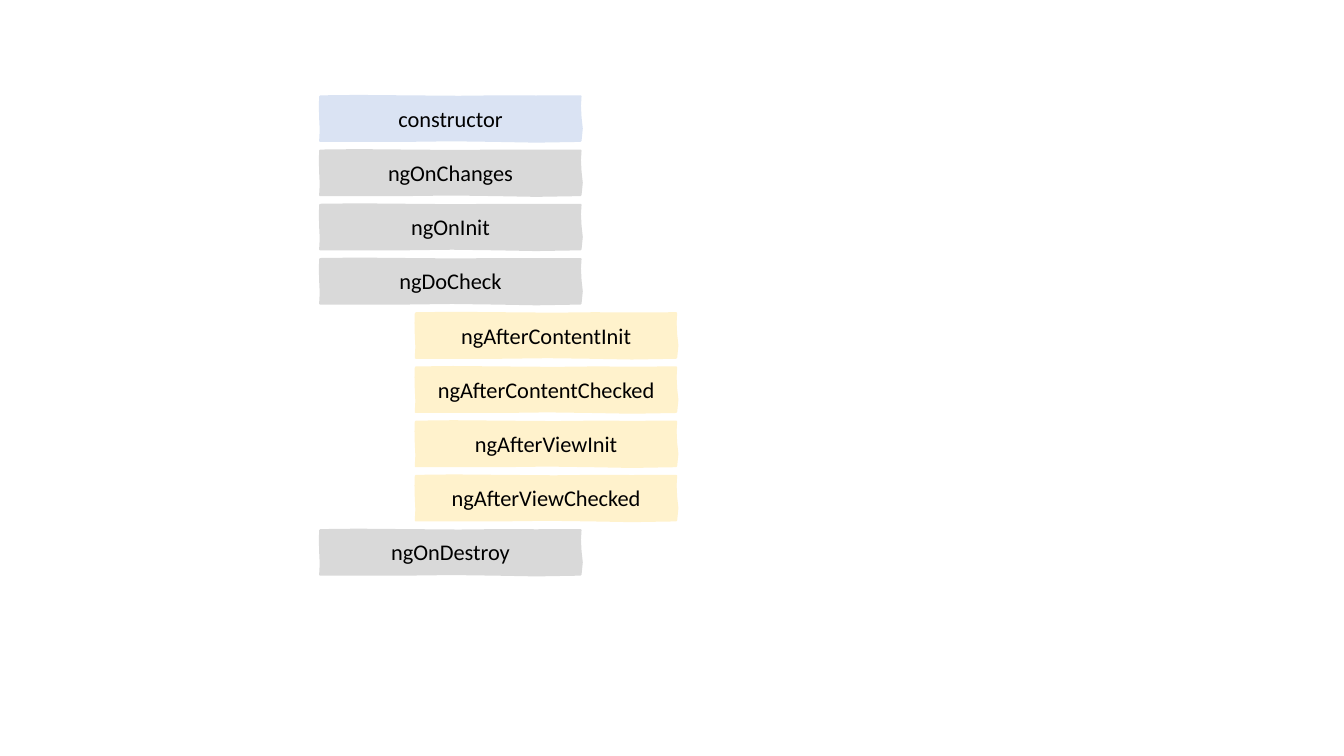
import pptx
import pptx.dml.color
import pptx.enum.shapes
import pptx.enum.text
import pptx.util

Cm = pptx.util.Cm

BLUE, GREY, YELLOW = "DAE3F3", "D9D9D9", "FFF2CC"
HOOKS = [
    ("constructor", BLUE, 0),
    ("ngOnChanges", GREY, 0),
    ("ngOnInit", GREY, 0),
    ("ngDoCheck", GREY, 0),
    ("ngAfterContentInit", YELLOW, 1),
    ("ngAfterContentChecked", YELLOW, 1),
    ("ngAfterViewInit", YELLOW, 1),
    ("ngAfterViewChecked", YELLOW, 1),
    ("ngOnDestroy", GREY, 0),
]
LEFT, INDENT = 8.07, 2.41
FIRST_TOP, LAST_TOP = 2.43, 13.36
PITCH = (LAST_TOP - FIRST_TOP) / (len(HOOKS) - 1)
BAR_W, LABEL_H, LABEL_INSET = 6.57, 0.94, 0.08

EDGE_START = (0, 0)
EDGE_CURVES = [
    ((0.56, -0.03), (1.22, 0), (2.18, 0)),
    ((3.18, 0), (3.91, 0.03), (4.47, 0)),
    ((5.05, -0.01), (5.77, 0.02), (6.56, 0)),
    ((6.6, 0.15), (6.48, 0.3), (6.56, 0.53)),
    ((6.65, 0.76), (6.55, 0.85), (6.56, 1.12)),
    ((5.77, 1.14), (5.08, 1.15), (4.42, 1.12)),
    ((3.76, 1.09), (2.92, 1.11), (2.13, 1.12)),
    ((1.35, 1.13), (0.74, 1.11), (0, 1.12)),
    ((0.06, 0.89), (-0.02, 0.82), (0, 0.54)),
    ((0, 0.27), (-0.02, 0.2), (0, 0)),
]
CURVE_STEPS = 2
FONT = {"name": "Calibri", "size": pptx.util.Pt(16)}
FRAME = {"word_wrap": True, "vertical_anchor": pptx.enum.text.MSO_ANCHOR.MIDDLE}


def rgb(value):
    return pptx.dml.color.RGBColor.from_string(value)


def set_all(target, values):
    for key, value in values.items():
        setattr(target, key, value)


def edge_points():
    start, points = EDGE_START, []
    for c1, c2, end in EDGE_CURVES:
        for step in range(CURVE_STEPS):
            t = step / CURVE_STEPS
            u = 1 - t
            points.append(tuple(
                u**3 * a + 3 * u**2 * t * b + 3 * u * t**2 * c + t**3 * d
                for a, b, c, d in zip(start, c1, c2, end)
            ))
        start = end
    return points


def fill_shape(sp, color):
    sp.shadow.inherit = False
    sp.fill.solid()
    sp.fill.fore_color.rgb = rgb(color)


def add_hook(s, text, color, left, top):
    group = s.shapes.add_group_shape()
    points = [(Cm(left + x), Cm(top + y)) for x, y in edge_points()]
    builder = group.shapes.build_freeform(*points[0])
    builder.add_line_segments(points[1:], close=True)
    bar = builder.convert_to_shape()
    fill_shape(bar, color)
    bar.line.color.rgb = rgb(color)
    bar.line.width = pptx.util.Pt(1.5)

    label = group.shapes.add_shape(
        pptx.enum.shapes.MSO_SHAPE.RECTANGLE,
        Cm(left), Cm(top + LABEL_INSET), Cm(BAR_W), Cm(LABEL_H),
    )
    fill_shape(label, color)
    label.line.fill.background()
    tf = label.text_frame
    set_all(tf, FRAME)
    p = tf.paragraphs[0]
    p.alignment = pptx.enum.text.PP_ALIGN.CENTER
    r = p.add_run()
    r.text = text
    set_all(r.font, FONT)
    r.font.color.rgb = rgb("000000")


def main():
    prs = pptx.Presentation()
    prs.slide_width, prs.slide_height = Cm(33.87), Cm(19.05)
    s = prs.slides.add_slide(prs.slide_layouts[6])
    for i, (text, color, level) in enumerate(HOOKS):
        add_hook(s, text, color, LEFT + level * INDENT, FIRST_TOP + i * PITCH)
    prs.save("out.pptx")


if __name__ == "__main__":
    main()
